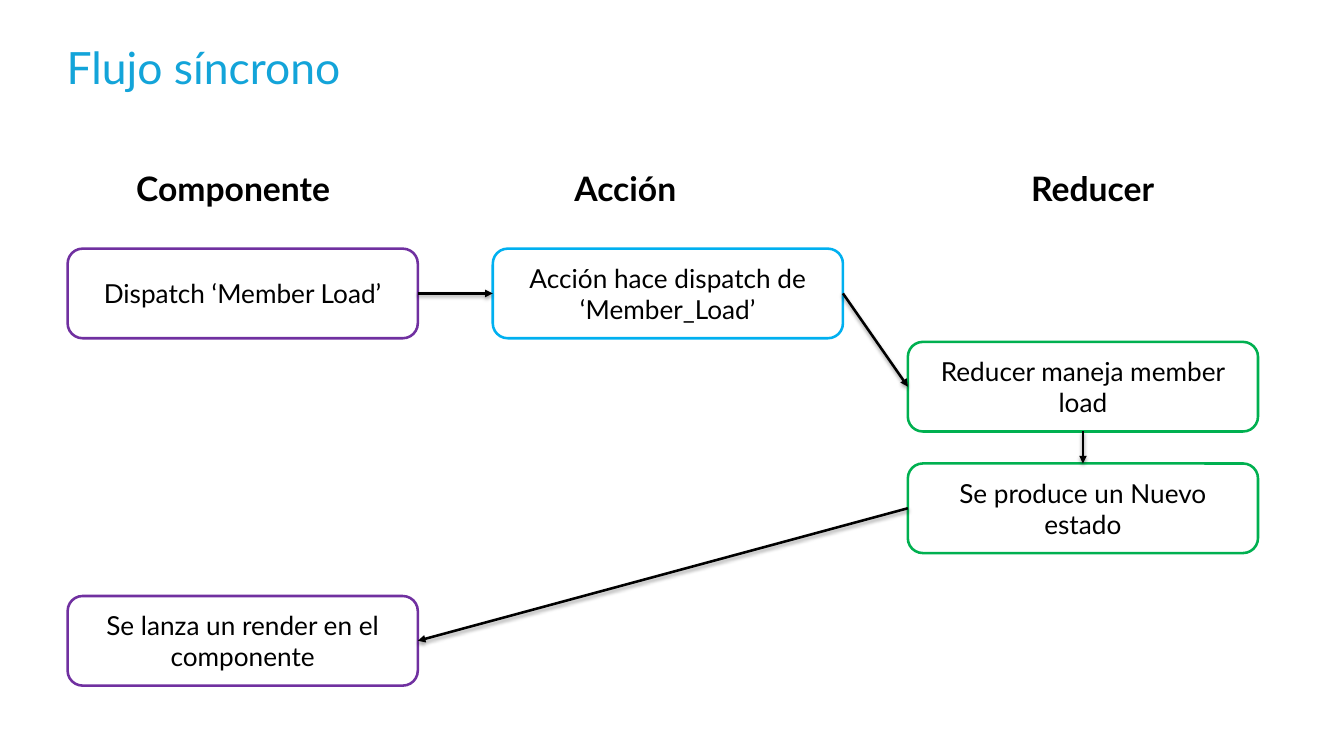
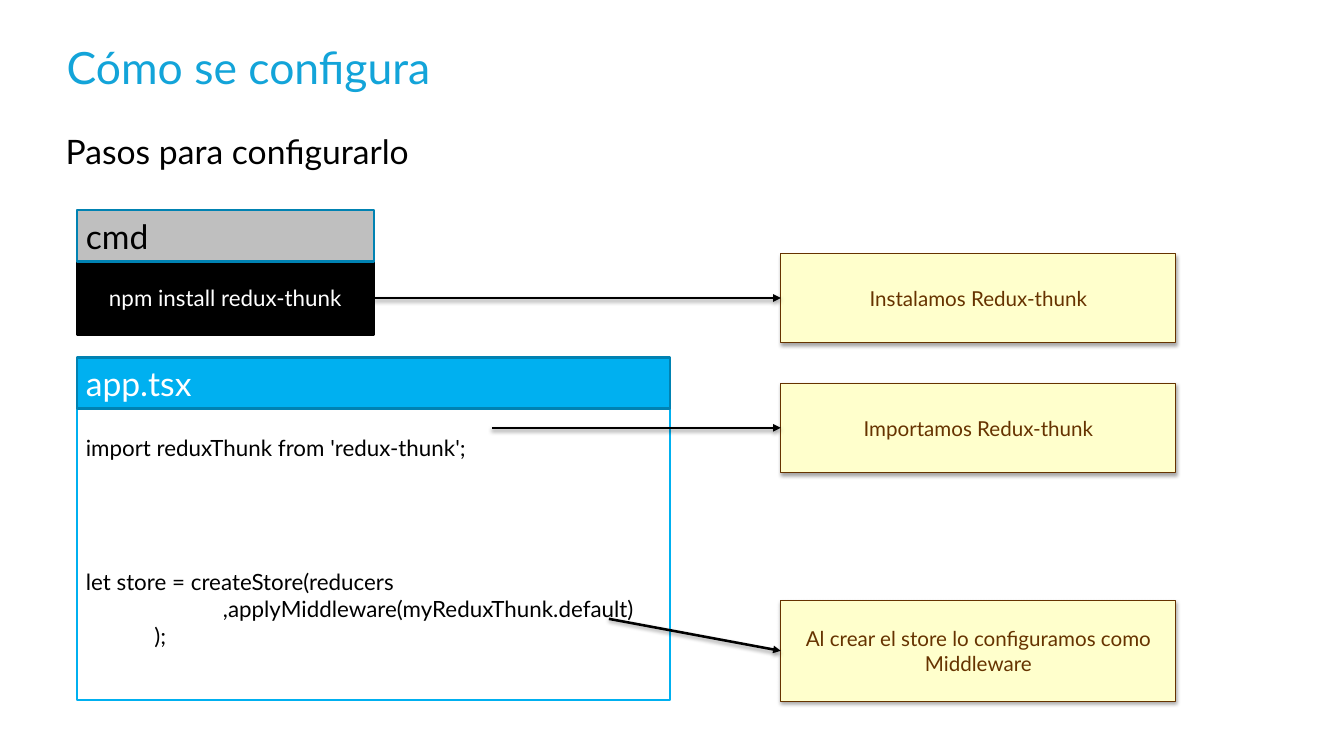
from lxml import etree
from pptx import Presentation, util as u
from pptx.dml.color import RGBColor
from pptx.enum import shapes, text
from pptx.oxml.ns import qn

PX = 9144
FONT = "Lato"
COLORS = {
    "title": "13A4D9", "black": "000000", "white": "FFFFFF", "purple": "7030A0",
    "green": "00B050", "blue": "00B0F0", "edge": "0082B2", "gray": "BFBFBF",
    "note": "FFFFCC", "brown": "663300",
}
SIZES = {"title": 35, "heading": 26.5, "step": 20.6, "code": 17.6, "note": 16.2}
TITLE_BOX = (62, 33, 1336, 81)
ARROW_SHADOW = (1.6, 38)
NOTE_SHADOW = (1.8, 35)
TOP, LEFT, BOTTOM, RIGHT = range(4)

FLOW_TITLE = "Flujo síncrono"
FLOW_HEADINGS = [("Componente", 74), ("Acción", 503), ("Reducer", 1014)]
STEP_SIZE = (383, 98)
FLOW_COLUMNS = {"component": (74, "purple"), "action": (539, "blue"), "reducer": (993, "green")}
FLOW_STEPS = [
    ("Dispatch ‘Member Load’", "component", 272),
    ("Acción hace dispatch de ‘Member_Load’", "action", 272),
    ("Reducer maneja member load", "reducer", 374),
    ("Se produce un Nuevo estado", "reducer", 507),
    ("Se lanza un render en el componente", "component", 652),
]
FLOW_SIDES = [(RIGHT, LEFT), (RIGHT, LEFT), (BOTTOM, TOP), (LEFT, RIGHT)]

SETUP_TITLE = "Cómo se configura"
SETUP_SUBTITLE = "Pasos para configurarlo"
PANEL_LEFT, HEADER_HEIGHT = 84, 56
COMMAND = "npm install redux-thunk"
CODE_LINES = [
    ("import reduxThunk from 'redux-thunk';", 0, 0),
    ("let store = createStore(reducers", 0, 4),
    (",applyMiddleware(myReduxThunk.default)", 150, 0),
    (");", 75, 0),
]
CODE_TOP_MARGIN = 28
NOTE_LEFT, NOTE_WIDTH = 854, 432
NOTES = [
    ("Instalamos Redux-thunk", 277, 98, None),
    ("Importamos Redux-thunk", 419, 98, (538, 468)),
    ("Al crear el store lo configuramos como Middleware", 657, 110, (666, 677)),
]


def color(name):
    return RGBColor.from_string(COLORS[name])


def scaled(*lengths):
    return [u.Emu(length * PX) for length in lengths]


def format_text(frame, size, ink, align, bold=False):
    frame.word_wrap = True
    for paragraph in frame.paragraphs:
        paragraph.alignment = align
        for run in paragraph.runs:
            run.font.name = FONT
            run.font.size = u.Pt(SIZES[size])
            run.font.bold = bold
            run.font.color.rgb = color(ink)


def add_shadow(properties, distance, opacity):
    effects = properties.find(qn("a:effectLst"))
    if effects is None:
        effects = etree.SubElement(properties, qn("a:effectLst"))
    shadow = etree.SubElement(
        effects, qn("a:outerShdw"), blurRad=str(u.Pt(3.1)), dist=str(u.Pt(distance)),
        dir="5400000", rotWithShape="0")
    shade = etree.SubElement(shadow, qn("a:srgbClr"), val=COLORS["black"])
    etree.SubElement(shade, qn("a:alpha"), val=str(opacity * 1000))


def add_titled_slide(presentation, title):
    slide = presentation.slides.add_slide(presentation.slide_layouts[5])
    shape = slide.shapes.title
    shape.left, shape.top, shape.width, shape.height = scaled(*TITLE_BOX)
    frame = shape.text_frame
    frame.text = title
    frame.vertical_anchor = text.MSO_ANCHOR.MIDDLE
    frame.margin_left, frame.margin_right = scaled(11, 11)
    format_text(frame, "title", "title", text.PP_ALIGN.LEFT)
    return slide


def add_label(slide, content, box, align, bold=False):
    frame = slide.shapes.add_textbox(*scaled(*box)).text_frame
    frame.text = content
    format_text(frame, "heading", "black", align, bold)


def add_box(slide, content, box, fill, line, size, ink="black", align=text.PP_ALIGN.CENTER,
            kind=shapes.MSO_SHAPE.RECTANGLE, width=2):
    shape = slide.shapes.add_shape(kind, *scaled(*box))
    shape.shadow.inherit = False
    shape.fill.solid()
    shape.fill.fore_color.rgb = color(fill)
    shape.line.color.rgb = color(line)
    shape.line.width = u.Pt(width)
    frame = shape.text_frame
    frame.text = content
    frame.vertical_anchor = text.MSO_ANCHOR.MIDDLE
    format_text(frame, size, ink, align)
    return shape


def add_arrow(slide, target, target_side, source=None, source_side=RIGHT, start=(0, 0)):
    arrow = slide.shapes.add_connector(
        shapes.MSO_CONNECTOR.STRAIGHT, *scaled(*start, *start))
    if source is not None:
        arrow.begin_connect(source, source_side)
    arrow.end_connect(target, target_side)
    arrow.line.color.rgb = color("black")
    arrow.line.width = u.Pt(2)
    properties = arrow.element.spPr
    etree.SubElement(properties.find(qn("a:ln")), qn("a:tailEnd"), type="triangle")
    add_shadow(properties, *ARROW_SHADOW)


def build_flow(presentation):
    slide = add_titled_slide(presentation, FLOW_TITLE)
    for heading, left in FLOW_HEADINGS:
        add_label(slide, heading, (left, 179, 362, 55), text.PP_ALIGN.CENTER, bold=True)
    steps = []
    for content, column, top in FLOW_STEPS:
        left, line = FLOW_COLUMNS[column]
        steps.append(add_box(slide, content, (left, top, *STEP_SIZE), "white", line, "step",
                             kind=shapes.MSO_SHAPE.ROUNDED_RECTANGLE))
    for source, target, (source_side, target_side) in zip(steps, steps[1:], FLOW_SIDES):
        add_arrow(slide, target, target_side, source, source_side)


def add_panel(slide, name, top, width, height, body, header_style, body_style):
    body_box = add_box(slide, body, (PANEL_LEFT, top + HEADER_HEIGHT, width, height),
                       *body_style)
    fill, ink = header_style
    add_box(slide, name, (PANEL_LEFT, top, width, HEADER_HEIGHT), fill, "edge", "heading",
            ink, text.PP_ALIGN.LEFT)
    return body_box


def build_setup(presentation):
    slide = add_titled_slide(presentation, SETUP_TITLE)
    add_label(slide, SETUP_SUBTITLE, (62, 138, 1328, 55), text.PP_ALIGN.LEFT)
    command = add_panel(slide, "cmd", 230, 325, 80, COMMAND, ("gray", "black"),
                        ("black", "black", "code", "white"))
    code = add_panel(slide, "app.tsx", 391, 649, 319,
                     "\n".join(line for line, _, _ in CODE_LINES), ("blue", "white"),
                     ("white", "blue", "code", "black", text.PP_ALIGN.LEFT))
    frame = code.text_frame
    frame.vertical_anchor = text.MSO_ANCHOR.TOP
    frame.margin_top = u.Emu(CODE_TOP_MARGIN * PX)
    for paragraph, (_, indent, gap_lines) in zip(frame.paragraphs, CODE_LINES):
        paragraph.space_before = u.Pt(gap_lines * SIZES["code"] * 1.2)
        paragraph._p.get_or_add_pPr().set("marL", str(indent * PX))
    for content, top, height, start in NOTES:
        note = add_box(slide, content, (NOTE_LEFT, top, NOTE_WIDTH, height),
                       "note", "brown", "note", "brown", width=0.75)
        add_shadow(note.element.spPr, *NOTE_SHADOW)
        if start is None:
            add_arrow(slide, note, LEFT, command)
        else:
            add_arrow(slide, note, LEFT, start=start)


def main():
    presentation = Presentation()
    presentation.slide_width, presentation.slide_height = scaled(1470, 827)
    build_flow(presentation)
    build_setup(presentation)
    presentation.save("out.pptx")


if __name__ == "__main__":
    main()
